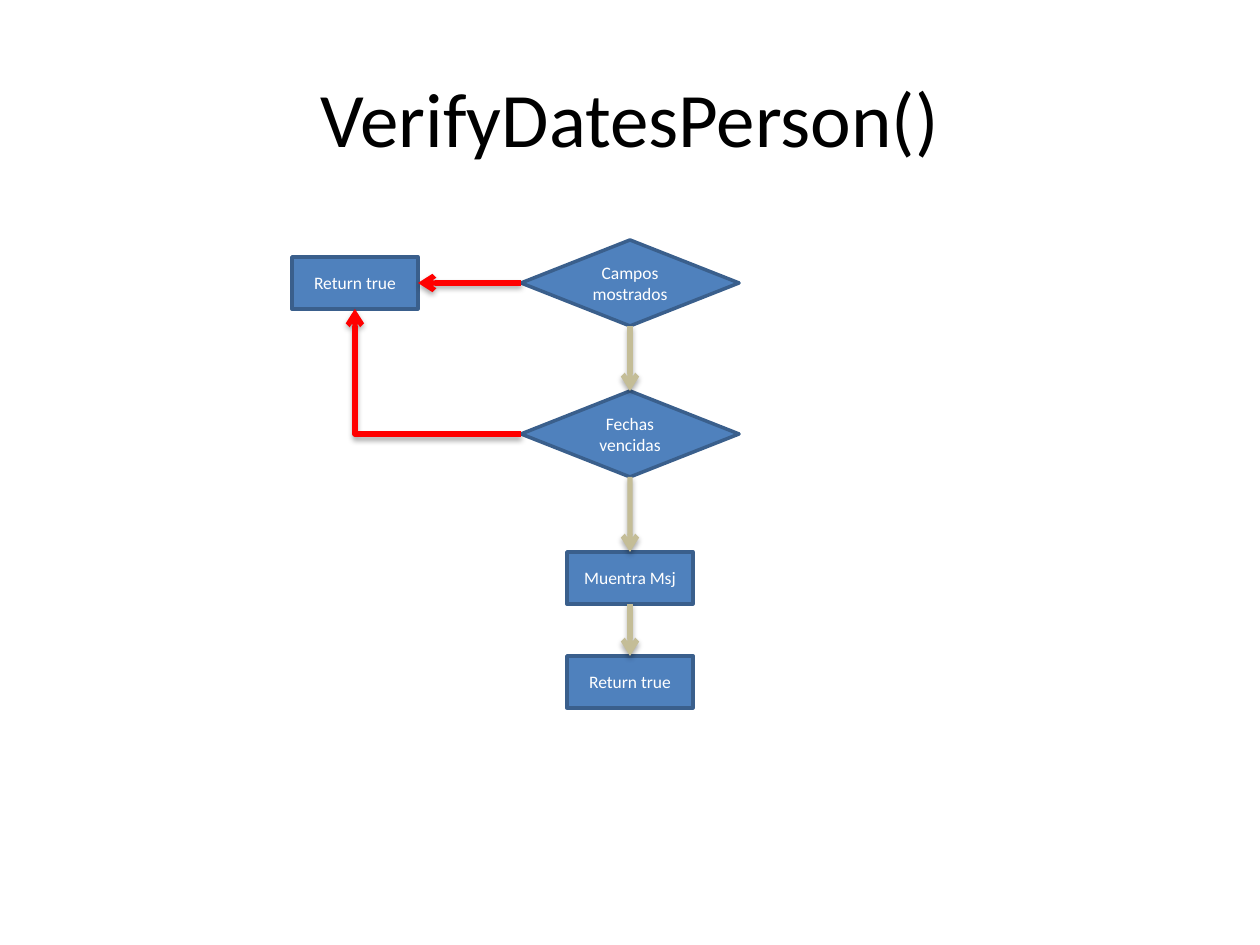
from dataclasses import dataclass
from lxml import etree
from pptx import Presentation
from pptx.dml.color import RGBColor
from pptx.enum.shapes import MSO_CONNECTOR as CONNECTOR, MSO_SHAPE as SHAPE
from pptx.enum.text import MSO_ANCHOR as ANCHOR, PP_ALIGN as ALIGN
from pptx.oxml import parse_xml
from pptx.oxml.ns import nsdecls, qn
from pptx.util import Pt


@dataclass(frozen=True)
class Theme:
    font: str = "Calibri"
    title_size: int = 44
    label_size: int = 10
    title: str = "000000"
    label: str = "FFFFFF"
    fill: str = "4F81BD"
    outline: str = "3A5F8C"
    yes: str = "FF0000"
    no: str = "C4BD97"


theme = Theme()
SCALE = 914400 / 126
SHADOW = (
    f'<a:effectLst {nsdecls("a")}><a:outerShdw blurRad="40000" dist="23000" dir="5400000" '
    'rotWithShape="0"><a:srgbClr val="000000"><a:alpha val="35000"/></a:srgbClr>'
    "</a:outerShdw></a:effectLst>"
)


def px(*lengths):
    return [round(length * SCALE) for length in lengths]


def write(shape, text, size, color):
    frame = shape.text_frame
    frame.word_wrap = True
    frame.vertical_anchor = ANCHOR.MIDDLE
    paragraph = frame.paragraphs[0]
    paragraph.text = text
    paragraph.alignment = ALIGN.CENTER
    paragraph.font.name = theme.font
    paragraph.font.size = Pt(size)
    paragraph.font.color.rgb = RGBColor.from_string(color)


presentation = Presentation()
presentation.slide_width, presentation.slide_height = px(1260, 945)
slide = presentation.slides.add_slide(presentation.slide_layouts[6])

title = slide.shapes.add_textbox(*px(63, 38, 1134, 158))
write(title, "VerifyDatesPerson()", theme.title_size, theme.title)

SIZES = {SHAPE.FLOWCHART_DECISION: (218, 86), SHAPE.RECTANGLE: (126, 52)}
MAIN_X, SIDE_X = 630, 355
STEPS = [
    ("fields", "Campos mostrados", SHAPE.FLOWCHART_DECISION, MAIN_X, 240),
    ("early_return", "Return true", SHAPE.RECTANGLE, SIDE_X, 257),
    ("dates", "Fechas vencidas", SHAPE.FLOWCHART_DECISION, MAIN_X, 391),
    ("message", "Muentra Msj", SHAPE.RECTANGLE, MAIN_X, 552),
    ("final_return", "Return true", SHAPE.RECTANGLE, MAIN_X, 656),
]
steps = {}
for name, text, kind, center, top in STEPS:
    width, height = SIZES[kind]
    shape = slide.shapes.add_shape(kind, *px(center - width // 2, top, width, height))
    shape.shadow.inherit = False
    shape.fill.solid()
    shape.fill.fore_color.rgb = RGBColor.from_string(theme.fill)
    shape.line.color.rgb = RGBColor.from_string(theme.outline)
    shape.line.width = Pt(2)
    write(shape, text, theme.label_size, theme.label)
    steps[name] = shape

TOP, LEFT, BOTTOM, RIGHT = range(4)
ARROWS = [
    ("fields", LEFT, "early_return", RIGHT, CONNECTOR.STRAIGHT, theme.yes),
    ("fields", BOTTOM, "dates", TOP, CONNECTOR.STRAIGHT, theme.no),
    ("dates", LEFT, "early_return", BOTTOM, CONNECTOR.ELBOW, theme.yes),
    ("dates", BOTTOM, "message", TOP, CONNECTOR.STRAIGHT, theme.no),
    ("message", BOTTOM, "final_return", TOP, CONNECTOR.STRAIGHT, theme.no),
]
for start, start_side, end, end_side, kind, color in ARROWS:
    connector = slide.shapes.add_connector(kind, 0, 0, 0, 0)
    connector.begin_connect(steps[start], start_side)
    connector.end_connect(steps[end], end_side)
    connector.line.color.rgb = RGBColor.from_string(color)
    connector.line.width = Pt(3)
    etree.SubElement(connector.line._get_or_add_ln(), qn("a:tailEnd"), type="arrow")
    properties = connector._element.spPr
    properties.append(parse_xml(SHADOW))
    if kind == CONNECTOR.ELBOW:
        properties.find(qn("a:prstGeom")).set("prst", "bentConnector2")

presentation.save("out.pptx")
